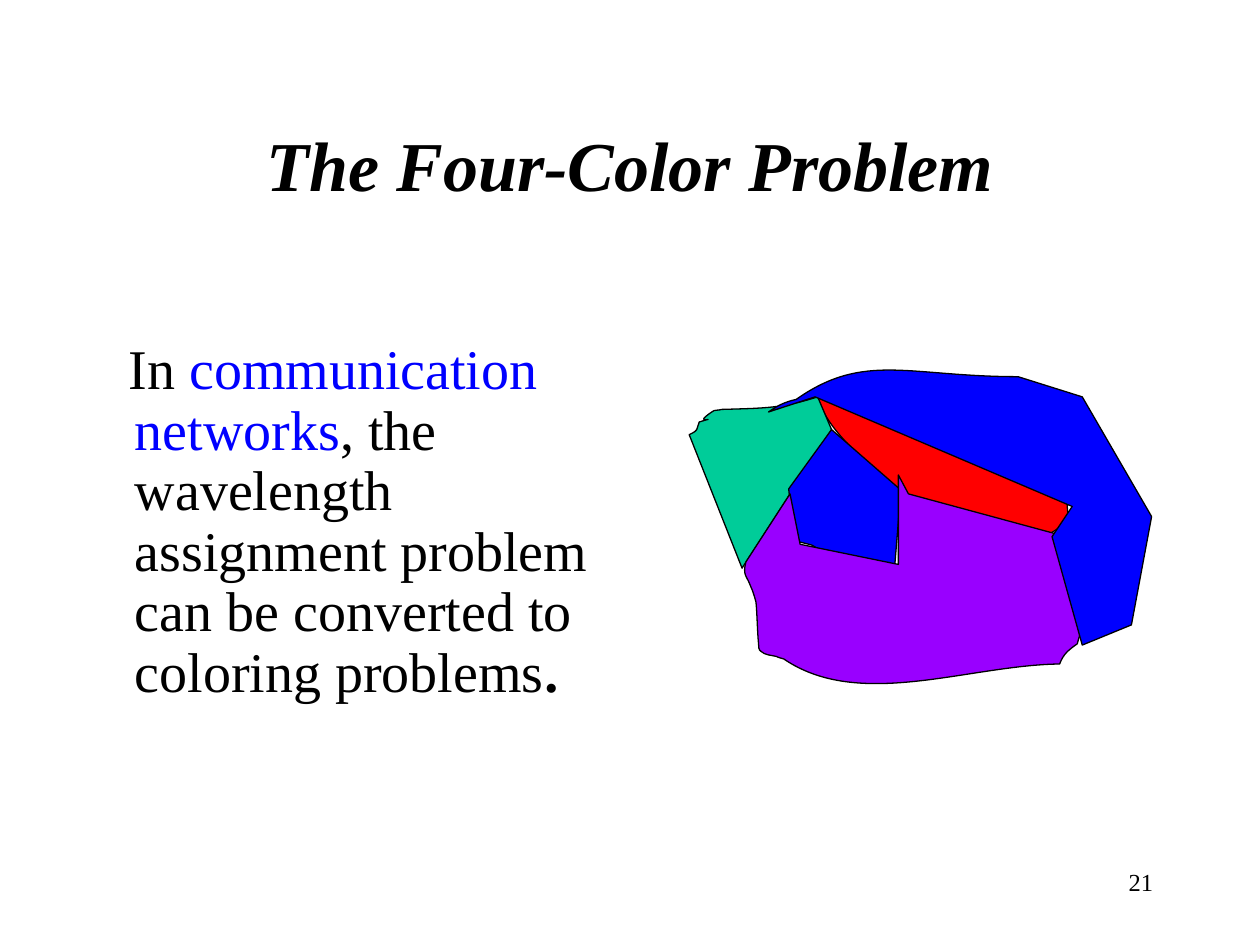
import pptx
import pptx.dml.color
import pptx.enum.text
import pptx.util
from lxml import etree
from pptx.util import Inches

COLORS = {"black": "000000", "blue": "0000FF", "red": "FF0000",
          "green": "00CC99", "purple": "9900FF"}
DRAWING = "{http://schemas.openxmlformats.org/drawingml/2006/main}"

REGIONS = [
    ("red", [(6.49, 3.15), (6.55, 3.38, 6.77, 3.56, 6.92, 3.72),
             (6.96, 3.76, 7.02, 3.78, 7.06, 3.82), (7.1, 3.85, 7.13, 3.89, 7.18, 3.92),
             (7.23, 3.94, 7.29, 3.95, 7.34, 3.98), (7.66, 4.13, 7.23, 3.97, 7.59, 4.13),
             (7.79, 4.22, 7.97, 4.23, 8.18, 4.25), (8.28, 4.28, 8.35, 4.23, 8.43, 4.17),
             (8.5, 4.07, 8.47, 4.13, 8.47, 3.98), (6.49, 3.15)]),
    ("green", [(6.49, 3.15), (6.21, 3.24, 6.08, 3.24, 5.73, 3.25),
               (5.7, 3.26, 5.67, 3.25, 5.65, 3.27), (5.47, 3.39, 5.74, 3.29, 5.55, 3.35),
               (5.54, 3.37, 5.54, 3.39, 5.53, 3.41), (5.52, 3.43, 5.47, 3.45, 5.47, 3.45),
               (5.89, 4.51), (6.6, 3.41), (6.49, 3.15)]),
    ("blue", [(6.26, 3.88), (6.26, 3.9, 6.3, 4.25, 6.32, 4.29),
              (6.32, 4.3, 6.43, 4.32, 6.45, 4.33), (6.59, 4.42, 6.53, 4.38, 6.63, 4.45),
              (6.66, 4.47, 6.7, 4.46, 6.73, 4.47), (6.91, 4.5, 6.86, 4.51, 7.1, 4.51),
              (7.15, 3.89), (6.6, 3.41), (6.26, 3.88)]),
    ("purple", [(5.92, 4.46), (5.89, 4.57, 5.93, 4.57, 5.96, 4.66),
                (5.98, 4.7, 6, 4.78, 6, 4.78), (6.01, 4.89, 6.01, 5, 6.02, 5.11),
                (6.02, 5.13, 6.02, 5.16, 6.04, 5.17), (6.07, 5.2, 6.12, 5.2, 6.16, 5.21),
                (6.18, 5.22, 6.22, 5.23, 6.22, 5.23), (6.82, 5.64, 7.68, 5.28, 8.41, 5.27),
                (8.44, 5.19, 8.48, 5.16, 8.55, 5.11), (8.57, 5.03, 8.57, 5.06, 8.57, 5.02),
                (8.39, 4.24), (7.21, 3.92), (7.13, 3.77), (7.13, 4.48),
                (6.35, 4.32), (6.27, 3.92), (5.92, 4.46)]),
    ("blue", [(6.1, 3.27), (6.17, 3.22, 6.23, 3.19, 6.32, 3.17),
              (6.86, 2.79, 7.21, 2.99, 8.08, 2.99), (8.59, 3.15), (9.14, 4.1),
              (8.98, 4.96), (8.59, 5.12), (8.35, 4.26), (8.51, 4.02), (6.47, 3.15),
              (6.1, 3.27)]),
]


def rgb(name):
    return pptx.dml.color.RGBColor.from_string(COLORS[name])


def bend_lines(region, segments):
    lines = iter(list(region._element.iter(DRAWING + "lnTo")))
    for segment in segments:
        pieces = [next(lines) for _ in range(len(segment) // 2)]
        if len(pieces) == 3:
            curve = etree.Element(DRAWING + "cubicBezTo")
            pieces[0].addprevious(curve)
            for piece in pieces:
                curve.append(piece[0])
                piece.getparent().remove(piece)


presentation = pptx.Presentation()
presentation.slide_width = Inches(10)
presentation.slide_height = Inches(7.5)
slide = presentation.slides.add_slide(presentation.slide_layouts[1])

title = slide.shapes.title
body = slide.placeholders[1]
number = slide.shapes.add_textbox(Inches(7.17), Inches(6.83), Inches(2.08), Inches(0.5))
title.left, title.top, title.width, title.height = map(Inches, (0.75, 0.67, 8.5, 1.25))
body.left, body.top, body.width, body.height = map(Inches, (0.59, 2.02, 4.65, 4.5))

title.text_frame.text = "The Four-Color Problem"
number.text_frame.text = "21"
body_paragraph = body.text_frame.paragraphs[0]
for text, color in [("In ", "black"), ("communication networks", "blue"),
                    (", the wavelength assignment problem can be converted to coloring problems", "black"),
                    (".", "black")]:
    run = body_paragraph.add_run()
    run.text = text
    run.font.color.rgb = rgb(color)
run.font.bold = True

body.text_frame.margin_top = Inches(0.69)
body_paragraph.line_spacing = 0.9
body_paragraph.space_before = pptx.util.Pt(0)
properties = body_paragraph._p.get_or_add_pPr()
properties.set("marL", str(Inches(0.38)))
properties.set("indent", str(Inches(-0.05)))
etree.SubElement(properties, DRAWING + "buNone")

alignment = pptx.enum.text.PP_ALIGN
for shape, size, align in [(title, 40, alignment.CENTER), (body, 32, alignment.LEFT),
                           (number, 14, alignment.RIGHT)]:
    shape.text_frame.word_wrap = True
    shape.text_frame.auto_size = pptx.enum.text.MSO_AUTO_SIZE.NONE
    paragraph = shape.text_frame.paragraphs[0]
    paragraph.alignment = align
    paragraph.font.name = "Times New Roman"
    paragraph.font.size = pptx.util.Pt(size)
    paragraph.font.color.rgb = rgb("black")

title.text_frame.vertical_anchor = pptx.enum.text.MSO_ANCHOR.MIDDLE
title.text_frame.paragraphs[0].font.bold = True
title.text_frame.paragraphs[0].font.italic = True

color_map = slide.shapes.add_group_shape()
for color, (start, *segments) in REGIONS:
    points = [(Inches(x), Inches(y)) for segment in segments
              for x, y in zip(segment[::2], segment[1::2])]
    builder = color_map.shapes.build_freeform(Inches(start[0]), Inches(start[1]), scale=1.0)
    builder.add_line_segments(points, close=True)
    region = builder.convert_to_shape()
    bend_lines(region, segments)
    region.shadow.inherit = False
    region.fill.solid()
    region.fill.fore_color.rgb = rgb(color)
    region.line.color.rgb = rgb("black")
    region.line.width = pptx.util.Pt(0.75)

presentation.save("out.pptx")
